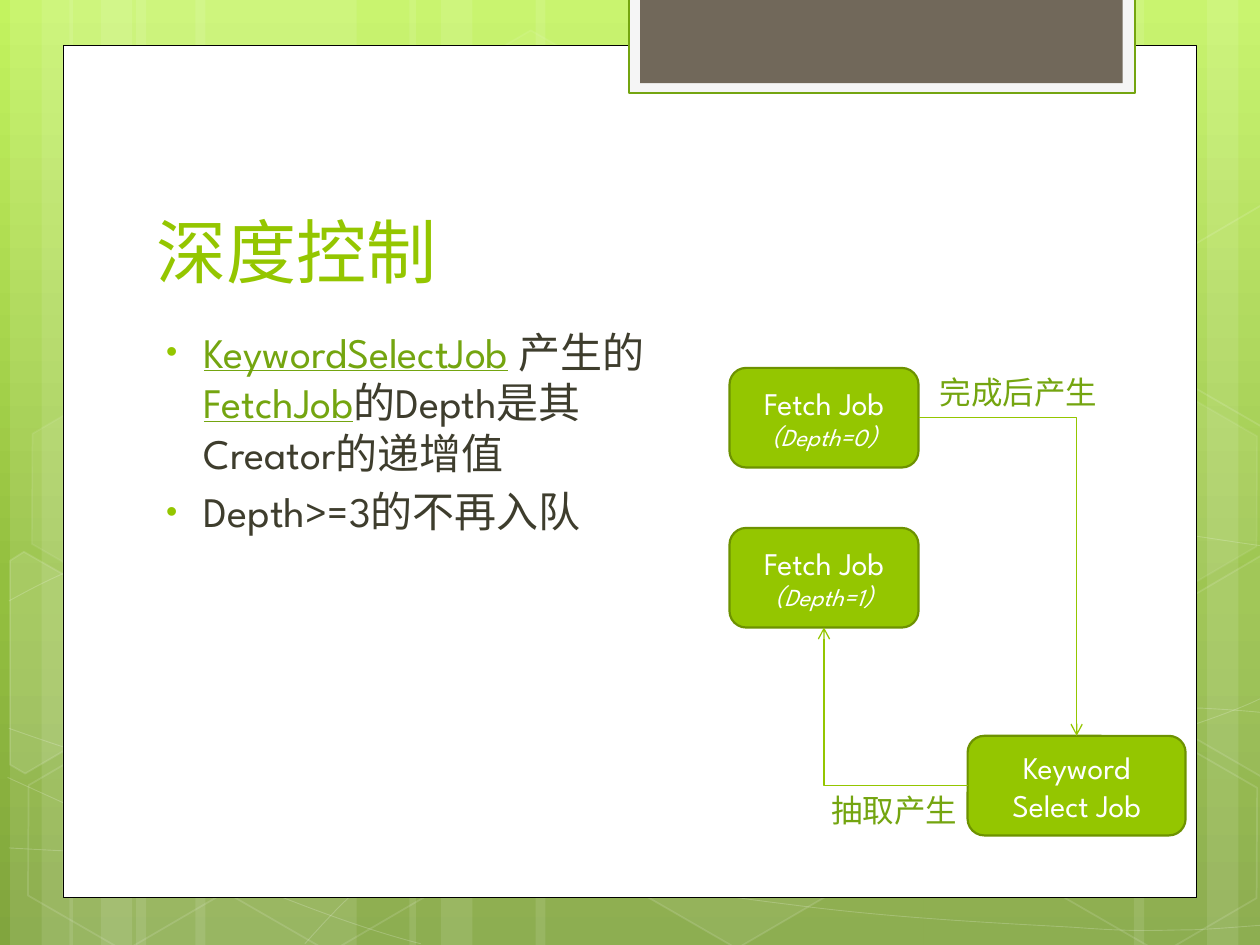
from copy import deepcopy

from pptx import Presentation
from pptx.dml.color import RGBColor
from pptx.enum.shapes import MSO_CONNECTOR, MSO_SHAPE
from pptx.enum.text import MSO_ANCHOR, MSO_AUTO_SIZE, PP_ALIGN
from pptx.oxml.ns import qn
from pptx.oxml.xmlchemy import OxmlElement
from pptx.util import Cm, Pt

RECT, ROUND, HEX = MSO_SHAPE.RECTANGLE, MSO_SHAPE.ROUNDED_RECTANGLE, MSO_SHAPE.HEXAGON
ELBOW = MSO_CONNECTOR.ELBOW
TOP, MIDDLE, BOTTOM = MSO_ANCHOR.TOP, MSO_ANCHOR.MIDDLE, MSO_ANCHOR.BOTTOM
LEFT, CENTER = PP_ALIGN.LEFT, PP_ALIGN.CENTER
GROW, FIXED = MSO_AUTO_SIZE.SHAPE_TO_FIT_TEXT, MSO_AUTO_SIZE.NONE
LIME, MOSS, DARK, WHITE = "94C600", "74A510", "3E3D2D", "FFFFFF"
SITE = {"top": 0, "left": 1, "bottom": 2, "right": 3}
SKY = [(0, "C3F35F"), (0.62, "93BF3F"), (1, "81A53E")]
BANDS = [(1.08, 1.75), (0.08, 0.5), (0.33, 0.83), (1.55, 1.75), (0.55, 0.5), (0.8, 0.83),
         (7.33, 1.75), (9.58, 0.42), (9, 0.83), (4.25, 3.08), (3.25, 0.5), (3.5, 0.83)]
CURVES = [
    [(0.07, 6.73), (0.61, 6.76), (1.15, 6.79), (1.9, 6.78), (2.65, 6.77), (3.58, 6.75), (4.58, 6.65),
     (5.58, 6.55), (7, 6.36), (7.92, 6.17), (8.83, 5.98), (9.77, 5.68), (10.07, 5.51)],
    [(0.07, 4.77), (0.36, 4.61), (0.65, 4.46), (1.21, 4.31), (1.78, 4.16), (2.59, 3.94), (3.47, 3.87),
     (4.36, 3.8), (5.44, 3.79), (6.54, 3.87), (7.64, 3.95), (9.47, 4.26), (10.07, 4.34)],
    [(0.06, 6.17), (1.27, 6.72), (2.47, 7.27), (3.34, 7.49)],
    [(0.07, 5.78), (0.38, 5.89), (0.7, 6), (1.28, 6.16), (1.86, 6.31), (2.73, 6.56), (3.57, 6.73),
     (4.4, 6.9), (5.45, 7.08), (6.28, 7.18), (7.11, 7.29), (8, 7.33), (8.53, 7.36), (9.05, 7.4),
     (9.19, 7.38), (9.45, 7.38), (9.71, 7.37), (9.89, 7.35), (10.07, 7.34)],
    [(2.42, 7.49), (2.6, 7.29), (2.78, 7.09), (3.02, 6.91), (3.26, 6.73), (3.6, 6.53), (3.88, 6.39),
     (4.16, 6.25), (4.33, 6.19), (4.7, 6.09), (5.06, 5.99), (5.73, 5.85), (6.08, 5.78), (6.44, 5.71),
     (6.49, 5.71), (6.8, 5.69), (7.11, 5.66), (7.6, 5.63), (7.94, 5.62), (8.29, 5.61), (8.86, 5.62),
     (8.86, 5.62), (9.08, 5.62), (9.31, 5.62), (9.53, 5.62), (9.71, 5.63), (9.88, 5.64), (10.06, 5.66)],
]
CELLS = [(3.34, 0.36, 4, 8), (4.97, 5.89, 6, 12), (0.11, 5.91, 0, 12), (0.14, 3.12, 7, 8),
         (1.74, 5.92, 0, 12), (8.34, 5.93, 0, 12), (8.34, 3.14, 7, 8)]
SHARDS = [
    (10, [(0.08, 4.45), (0.19, 4.38), (0.96, 4.82), (0.95, 5.7), (0.2, 6.14), (0.08, 6.07)]),
    (4, [(9.26, 4.85), (10.01, 4.41), (10.09, 4.46), (10.09, 6.13), (10.02, 6.17), (9.26, 5.73)]),
    (0, [(9.26, 2.07), (10.01, 1.63), (10.1, 1.68), (10.09, 3.35), (10.02, 3.39), (9.26, 2.95)]),
]


def span(*sizes):
    """Turn inch sizes into lengths."""
    return [Cm(size * 2.54) for size in sizes]


def node(base, tag, **marks):
    """Append an XML element with its attributes."""
    item = OxmlElement(tag)
    for name, value in marks.items():
        item.set(name, str(value))
    base.append(item)
    return item


def tint(color, code, alpha=100):
    """Set a colour from a hex string, with its opacity in percent."""
    color.rgb = RGBColor.from_string(code)
    if alpha < 100:
        node(color._color._xClr, "a:alpha", val=alpha * 1000)


def paint(shape, fill=WHITE, alpha=100, line=None, width=1, clear=100):
    """Set the fill and the outline of a shape."""
    shape.shadow.inherit = False
    shape.fill.background()
    shape.line.fill.background()
    if alpha:
        shape.fill.solid()
        tint(shape.fill.fore_color, fill, alpha)
    if line:
        shape.line.width = Pt(width)
        tint(shape.line.color, line, clear)
    return shape


def block(slide, kind, area, **look):
    """Add a painted preset shape."""
    return paint(slide.shapes.add_shape(kind, *span(*area)), **look)


def trace(slide, points, close, **look):
    """Add a painted outline through the points."""
    dots = [span(*point) for point in points]
    form = slide.shapes.build_freeform(*dots[0], scale=1.0)
    form.add_line_segments(dots[1:], close=close)
    return paint(form.convert_to_shape(), **look)


def bend(shape):
    """Make cubic curves of each three segments."""
    legs = list(shape._element.iter(qn("a:lnTo")))
    for at in range(0, len(legs), 3):
        arc = OxmlElement("a:cubicBezTo")
        legs[at].addprevious(arc)
        for leg in legs[at:at + 3]:
            arc.append(leg[0])
            leg.getparent().remove(leg)


def write(shape, lines, align=LEFT, **frame):
    """Fill a shape with lines of (text, colour, font values) runs."""
    text = shape.text_frame
    for name, value in frame.items():
        setattr(text, name, value)
    for at, runs in enumerate(lines):
        para = text.add_paragraph() if at else text.paragraphs[0]
        para.alignment = align
        for words, color, values in runs:
            run = para.add_run()
            run.text = words
            tint(run.font.color, color)
            for name, value in {"name": "League Spartan", **values}.items():
                setattr(run.font, name, value)
    return text


def bullet(para):
    """Give a paragraph a hanging lime bullet."""
    para.space_before = Pt(4.8)
    props = para._p.get_or_add_pPr()
    for name, size in zip(("marL", "indent"), span(0.38, -0.3)):
        props.set(name, str(size))
    node(node(props, "a:buClr"), "a:srgbClr", val=LIME)
    node(props, "a:buSzPct", val=76000)
    node(props, "a:buFont", typeface="Arial")
    node(props, "a:buChar", char="•")


def job(slide, area, *lines):
    """Add a job box with its lines of text."""
    shape = block(slide, ROUND, area, fill=LIME, line="6D9200", width=1.25)
    write(shape, [[(words, WHITE, values)] for words, values in lines], CENTER,
          vertical_anchor=MIDDLE, word_wrap=True)
    return shape


def label(slide, area, words):
    """Add a note beside an arrow."""
    write(slide.shapes.add_textbox(*span(*area)), [[(words, MOSS, {"size": Pt(18)})]],
          word_wrap=False, auto_size=GROW)


def link(slide, start, out, end, into):
    """Join two boxes with a one-bend arrow."""
    line = slide.shapes.add_connector(ELBOW, 0, 0, 0, 0)
    line.begin_connect(start, SITE[out])
    line.end_connect(end, SITE[into])
    line.line.width = Pt(0.75)
    tint(line.line.color, LIME)
    props = line._element.spPr
    props.find(qn("a:prstGeom")).set("prst", "bentConnector2")
    node(props.find(qn("a:ln")), "a:tailEnd", type="arrow")
    node(props, "a:effectLst")


def backdrop(slide):
    """Draw the gradient, bands, curves, hexagons and panels."""
    fill = slide.background.fill
    fill.gradient()
    fill.gradient_angle = 270
    first = fill.gradient_stops[0]._gs
    first.addnext(deepcopy(first))
    for stop, (place, code) in zip(fill.gradient_stops, SKY):
        stop.position = place
        tint(stop.color, code)
    for left, width in BANDS:
        block(slide, RECT, (left, 0, width, 7.5), alpha=10)
    for knots in CURVES:
        bend(trace(slide, knots, False, alpha=0, line=WHITE, width=0.5, clear=20))
    for left, top, alpha, clear in CELLS:
        cell = block(slide, HEX, (left, top, 1.75, 1.52), alpha=alpha, line=WHITE, clear=clear)
        cell.adjustments[0] = 0.285
        cell.rotation = 30
    for alpha, points in SHARDS:
        trace(slide, points, True, alpha=alpha, line=WHITE, clear=12)
    block(slide, RECT, (0.5, 0.36, 9, 6.76), line="000000", width=0.5)
    block(slide, RECT, (4.99, -0.02, 4.02, 0.76), fill="F5F5F5", line=MOSS, width=1.25)
    block(slide, RECT, (5.08, -0.02, 3.83, 0.68), fill="71685A")


def prose(slide):
    """Write the title and the bullets."""
    title = slide.shapes.title
    slide.shapes._spTree.append(title._element)
    title.left, title.top, title.width, title.height = span(1.14, 1.12, 7.68, 1.25)
    write(title, [[("深度控制", LIME, {"size": Pt(40)})]], vertical_anchor=BOTTOM, auto_size=FIXED)
    plain = {"size": Pt(24)}
    under = {**plain, "underline": True}
    body = write(slide.shapes.add_textbox(*span(1.14, 2.54, 4.49, 4.28)), [
        [("KeywordSelectJob", MOSS, under), (" 产生的", DARK, plain),
         ("FetchJob", MOSS, under), ("的Depth是其Creator的递增值", DARK, plain)],
        [("Depth>=3的不再入队", DARK, plain)]], vertical_anchor=TOP, word_wrap=True)
    for para in body.paragraphs:
        bullet(para)


def flow(slide):
    """Draw the job boxes, arrows and notes."""
    big, small = {"size": Pt(18)}, {"size": Pt(14), "italic": True}
    old, new = [job(slide, (5.79, 2.92 + 1.27 * depth, 1.5, 0.79), ("Fetch Job", big),
                    (f"（Depth={depth}）", small)) for depth in (0, 1)]
    pick = job(slide, (7.68, 5.84, 1.73, 0.79), ("Keyword Select Job", big))
    link(slide, pick, "left", new, "bottom")
    label(slide, (6.5, 6.23, 1.21, 0.4), "抽取产生")
    label(slide, (7.36, 2.91, 1.46, 0.4), "完成后产生")
    link(slide, old, "right", pick, "top")


def main():
    """Build and save the slide."""
    deck = Presentation()
    deck.slide_width, deck.slide_height = span(10, 7.5)
    slide = deck.slides.add_slide(deck.slide_layouts[5])
    for part in (backdrop, prose, flow):
        part(slide)
    deck.save("out.pptx")


main()
